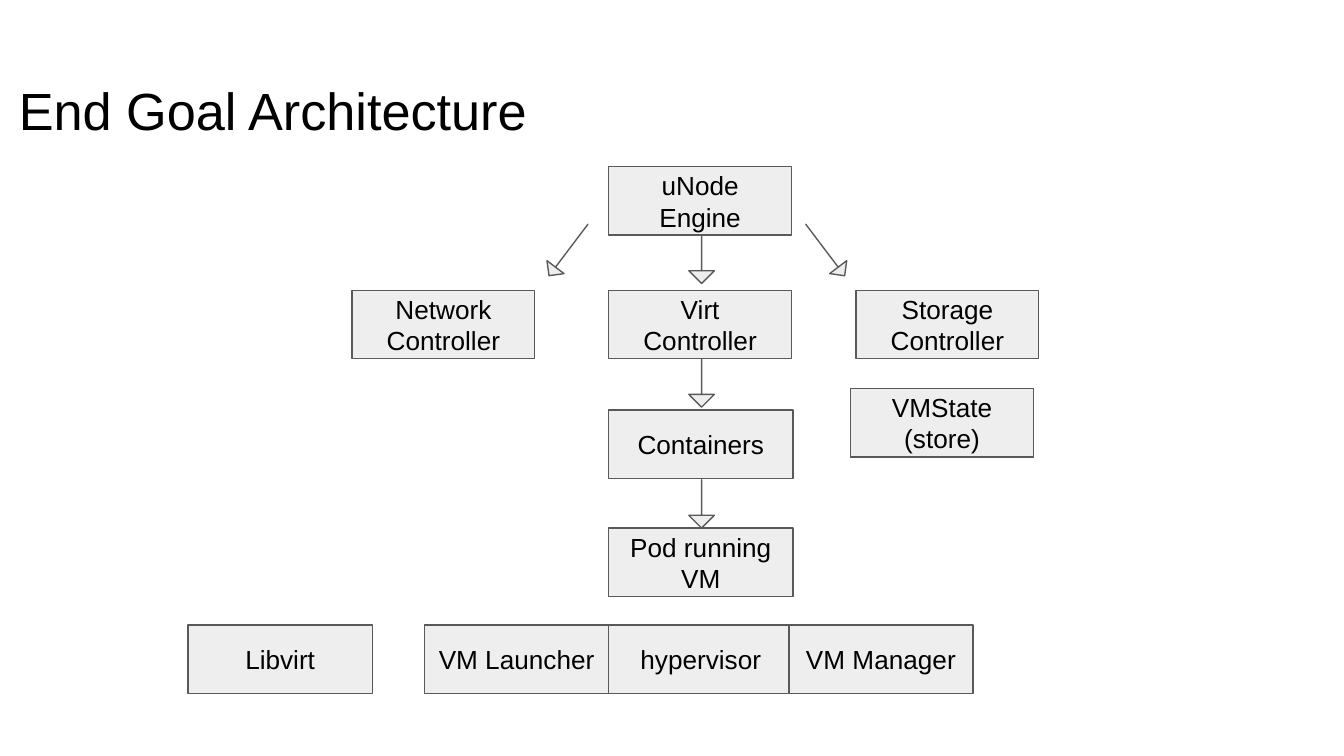
from dataclasses import dataclass

from pptx import Presentation
from pptx.dml.color import RGBColor
from pptx.enum.shapes import MSO_SHAPE
from pptx.enum.text import MSO_ANCHOR, MSO_AUTO_SIZE, PP_ALIGN
from pptx.util import Inches, Pt


@dataclass(frozen=True)
class Theme:
    font: str = "Arial"
    ink: RGBColor = RGBColor(0x00, 0x00, 0x00)
    fill: RGBColor = RGBColor(0xEE, 0xEE, 0xEE)
    edge: RGBColor = RGBColor(0x59, 0x59, 0x59)
    edge_width: Pt = Pt(0.75)
    title_size: Pt = Pt(28)
    label_size: Pt = Pt(14)


def apply(target, formats):
    for name, value in formats.items():
        setattr(target, name, value)


class Diagram:
    COLUMNS, ROWS = 100, 56.25

    def __init__(self, deck, theme):
        self.theme = theme
        self.slide = deck.slides.add_slide(deck.slide_layouts[5])
        self.column = deck.slide_width / self.COLUMNS
        self.row = deck.slide_height / self.ROWS

    def place(self, column, row, columns, rows):
        return (round(column * self.column), round(row * self.row),
                round(columns * self.column), round(rows * self.row))

    def label(self, frame, text, size, align, anchor):
        frame.text = text
        inset = round(self.column)
        apply(frame, {
            "word_wrap": True, "auto_size": MSO_AUTO_SIZE.NONE, "vertical_anchor": anchor,
            "margin_left": inset, "margin_right": inset,
            "margin_top": inset, "margin_bottom": inset,
        })
        paragraph = frame.paragraphs[0]
        paragraph.alignment = align
        font = paragraph.runs[0].font
        apply(font, {"name": self.theme.font, "size": size})
        font.color.rgb = self.theme.ink

    def title(self, text, *cells):
        heading = self.slide.shapes.title
        apply(heading, dict(zip(("left", "top", "width", "height"), self.place(*cells))))
        self.label(heading.text_frame, text, self.theme.title_size,
                   PP_ALIGN.LEFT, MSO_ANCHOR.TOP)

    def outline(self, preset, *cells):
        block = self.slide.shapes.add_shape(preset, *self.place(*cells))
        block.shadow.inherit = False
        block.fill.solid()
        block.fill.fore_color.rgb = self.theme.fill
        block.line.color.rgb = self.theme.edge
        block.line.width = self.theme.edge_width
        return block

    def component(self, text, column, row, columns=13.6, rows=5.1):
        block = self.outline(MSO_SHAPE.RECTANGLE, column, row, columns, rows)
        self.label(block.text_frame, text, self.theme.label_size,
                   PP_ALIGN.CENTER, MSO_ANCHOR.MIDDLE)

    def arrow(self, center, row, columns=1.9, rows=3.6, rotation=0):
        pointer = self.outline(MSO_SHAPE.DOWN_ARROW, center - columns / 2, row, columns, rows)
        pointer.adjustments[0] = 0
        pointer.adjustments[1] = 0.5
        pointer.rotation = rotation


def main():
    deck = Presentation()
    apply(deck, {"slide_width": Inches(10), "slide_height": Inches(5.625)})
    diagram = Diagram(deck, Theme())
    diagram.title("End Goal Architecture", 0.4, 4.8, 93.2, 6.3)

    spine, wide = 45.3, 13.7
    engine, controllers, cluster, pod, runtime = 12.4, 21.6, 30.5, 39.3, 46.5

    diagram.component("uNode Engine", spine, engine)
    for text, column in (("Network Controller", 26.2), ("Virt Controller", spine),
                         ("Storage Controller", 63.7)):
        diagram.component(text, column, controllers)
    diagram.component("VMState (store)", 63.3, 28.9)
    for text, row in (("Containers", cluster), ("Pod running VM", pod)):
        diagram.component(text, spine, row, wide)
    for text, column in (("Libvirt", 14), ("VM Launcher", spine - wide),
                         ("hypervisor", spine), ("VM Manager", 58.7)):
        diagram.component(text, column, runtime, wide)

    for row in (17.5, 26.7, 35.7):
        diagram.arrow(52.2, row)
    for center, rotation in ((42.3, 37.1), (61.4, -37.1)):
        diagram.arrow(center, 16.2, 1.6, 4.8, rotation)

    deck.save("out.pptx")


if __name__ == "__main__":
    main()
